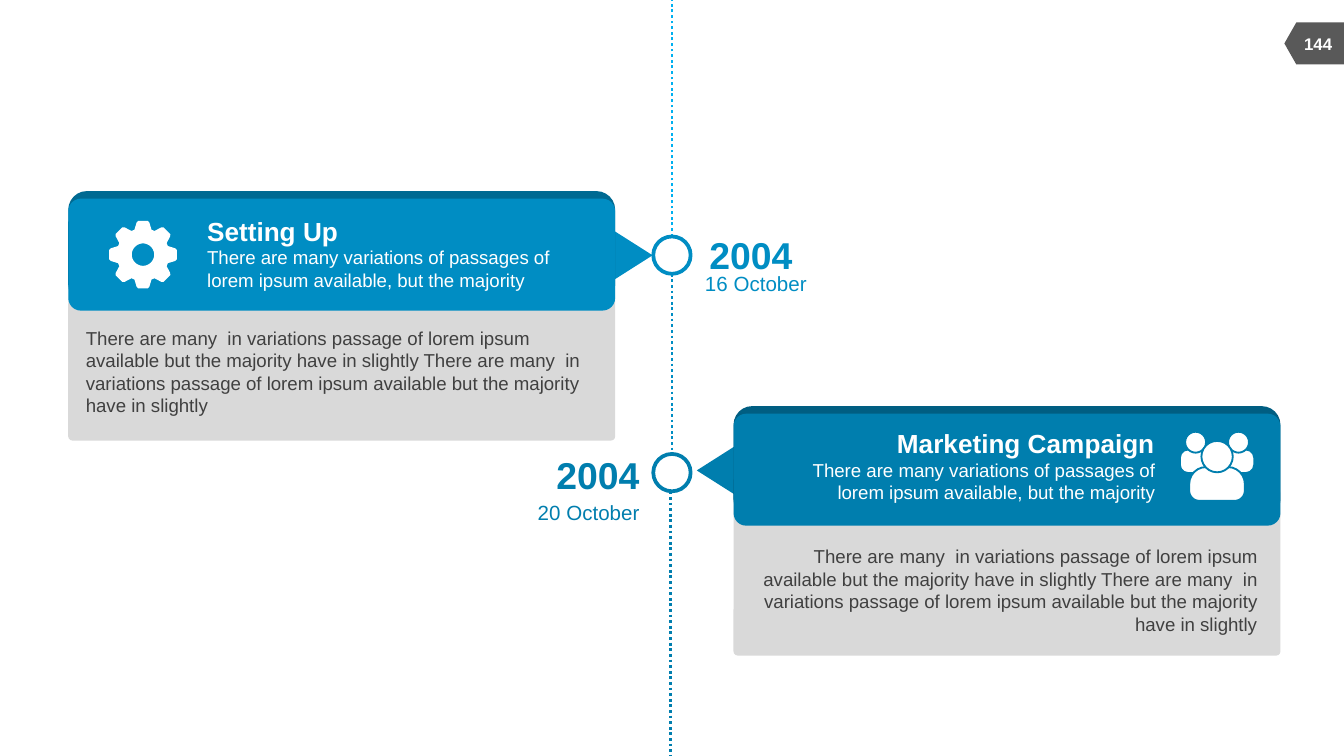
from dataclasses import dataclass
from math import cos, radians, sin

from lxml.etree import SubElement
from pptx import Presentation
from pptx.dml.color import RGBColor
from pptx.enum.dml import MSO_LINE_DASH_STYLE as Dash
from pptx.enum.shapes import MSO_CONNECTOR, MSO_SHAPE as Kind
from pptx.enum.text import MSO_ANCHOR as Anchor, PP_ALIGN as Align
from pptx.oxml.ns import qn
from pptx.util import Pt

WHITE, GREY, DARK, INK = "FFFFFF", "D9D9D9", "595959", "404040"
SKY, BLUE, TEAL = "00B0F0", "008DC3", "007EAE"
CARD_W, AXIS = 293, 360
BRIEF = "There are many variations of passages of lorem ipsum available, but the majority"
DETAIL = " ".join(["There are many  in variations passage of lorem ipsum "
                   "available but the majority have in slightly"] * 2)


@dataclass
class Card:
    title: str
    left: float
    top: float
    fill: str
    edge: str
    align: Align
    arrow_mid: float
    turn: int
    head_left: float
    head_top: float
    text_left: float
    text_top: float


@dataclass
class Stop:
    year: str
    day: str
    top: float
    color: str
    align: Align
    year_left: float
    year_top: float
    day_left: float
    day_top: float


CARDS = [
    Card("Setting Up", 36.6, 102.4, BLUE, "006A92", Align.LEFT,
         335.2, 90, 111, 115.2, 46, 175),
    Card("Marketing Campaign", 393, 217.6, TEAL, "005E82", Align.RIGHT,
         387.7, 270, 420, 229, 402, 292),
]
STOPS = [
    Stop("2004", "16 October", 126.7, BLUE, Align.LEFT, 380, 124, 377.7, 145),
    Stop("2004", "20 October", 243.2, TEAL, Align.RIGHT, 298, 242, 288, 267.8),
]


def rgb(code: str) -> RGBColor:
    return RGBColor.from_string(code)


def paint(shape, fill: str, line: str = "", weight: float = 1) -> None:
    shape.shadow.inherit = False
    shape.fill.solid()
    shape.fill.fore_color.rgb = rgb(fill)
    if line:
        shape.line.color.rgb = rgb(line)
        shape.line.width = Pt(weight)
    else:
        shape.line.fill.background()


def add_form(shapes, kind: Kind, box: tuple, fill: str, line: str = "",
             weight: float = 1, adjust: tuple = (), turn: float = 0):
    form = shapes.add_shape(kind, *map(Pt, box))
    paint(form, fill, line, weight)
    for index, value in enumerate(adjust):
        form.adjustments[index] = value
    form.rotation = turn
    return form


def add_text(shapes, text: str, box: tuple, size: float, color: str,
             align: Align, bold: bool = False, wrap: bool = False) -> None:
    frame = shapes.add_textbox(*map(Pt, box)).text_frame
    frame.margin_left = frame.margin_right = Pt(0)
    frame.margin_top = frame.margin_bottom = Pt(0)
    frame.word_wrap = wrap
    frame.vertical_anchor = Anchor.TOP if wrap else Anchor.MIDDLE
    frame.text = text
    para = frame.paragraphs[0]
    para.alignment = align
    font = para.runs[0].font
    font.name, font.size, font.bold = "Arial", Pt(size), bold
    font.color.rgb = rgb(color)


def add_dots(shapes, x: float, start: float, end: float, color: str) -> None:
    """Draw one dotted stretch of the time axis."""
    line = shapes.add_connector(MSO_CONNECTOR.STRAIGHT, Pt(x), Pt(start), Pt(x), Pt(end))
    line.line.color.rgb = rgb(color)
    line.line.width = Pt(1.5)
    line.line.dash_style = Dash.ROUND_DOT
    SubElement(line._element.spPr, qn("a:effectLst"))


def add_card(shapes, card: Card) -> None:
    left, top = card.left, card.top
    add_form(shapes, Kind.ROUNDED_RECTANGLE, (left, top + 44.4, CARD_W, 89.2),
             GREY, adjust=(0.025,))
    add_form(shapes, Kind.ISOSCELES_TRIANGLE,
             (card.arrow_mid - 18.3, top + 20, 36.6, 28.8), card.fill, turn=card.turn)
    add_form(shapes, Kind.ROUNDED_RECTANGLE, (left, top, CARD_W, 60), card.edge)
    add_form(shapes, Kind.ROUNDED_RECTANGLE, (left, top + 4, CARD_W, 60),
             card.fill, adjust=(0.113,))
    add_text(shapes, card.title, (card.head_left, card.head_top, 198.6, 17),
             14, WHITE, card.align, bold=True)
    add_text(shapes, BRIEF, (card.head_left, card.head_top + 16.6, 198.6, 24.5),
             10, WHITE, card.align, wrap=True)
    add_text(shapes, DETAIL, (card.text_left, card.text_top, 271.4, 48),
             10, INK, card.align, wrap=True)


def add_stop(shapes, stop: Stop) -> None:
    add_form(shapes, Kind.OVAL, (AXIS - 10, stop.top, 20, 20), WHITE, stop.color, 2)
    add_text(shapes, stop.year, (stop.year_left, stop.year_top, 44.6, 24.5),
             20, stop.color, stop.align, bold=True)
    add_text(shapes, stop.day, (stop.day_left, stop.day_top, 54.7, 13.7),
             11, stop.color, stop.align)


def add_gear(shapes, x: float, y: float) -> None:
    def ring(points: list) -> list:
        return [(Pt(x + r * sin(radians(a))), Pt(y - r * cos(radians(a))))
                for a, r in points]

    tooth = [(-19, 14.1), (-11, 17.6), (-8, 18.3), (8, 18.3), (11, 17.6), (19, 14.1)]
    rim = ring([(45 * n + a, r) for n in range(8) for a, r in tooth])
    hole = ring([(-a, 6) for a in range(0, 360, 10)])
    path = shapes.build_freeform(*rim[0])
    path.add_line_segments(rim[1:])
    path.move_to(*hole[0])
    path.add_line_segments(hole[1:])
    paint(path.convert_to_shape(), WHITE)


def add_team(shapes, x: float, y: float, gap: str) -> None:
    """Draw three people, kept apart by outlines in the card colour."""
    for side in (-1, 1):
        mid = x + side * 12.6
        add_form(shapes, Kind.ROUNDED_RECTANGLE, (mid - 7.3, y + 9, 14.6, 12.6),
                 WHITE, gap, adjust=(0.35,))
        add_form(shapes, Kind.OVAL, (x + side * 11.5 - 5.6, y - 0.5, 11.2, 11.2), WHITE, gap)
    add_form(shapes, Kind.ROUND_2_SAME_RECTANGLE, (x - 14.9, y + 18.4, 29.8, 18.1),
             WHITE, gap, adjust=(0.5, 0.3))
    add_form(shapes, Kind.OVAL, (x - 8.4, y + 4.4, 16.8, 16.8), WHITE, gap)


def main() -> None:
    deck = Presentation()
    deck.slide_width, deck.slide_height = Pt(720), Pt(405)
    shapes = deck.slides.add_slide(deck.slide_layouts[6]).shapes

    add_form(shapes, Kind.FLOWCHART_OFFPAGE_CONNECTOR, (692.8, 7.3, 22.5, 32),
             DARK, turn=90)
    add_text(shapes, "144", (691.2, 12.5, 30, 21.6), 9, WHITE, Align.CENTER, bold=True)

    add_dots(shapes, AXIS, 126.7, 0, SKY)
    add_dots(shapes, AXIS, 146.7, 243.2, BLUE)
    add_dots(shapes, 359.3, 263.2, 405, TEAL)
    for card in CARDS:
        add_card(shapes, card)
    for stop in STOPS:
        add_stop(shapes, stop)
    add_gear(shapes, 76.6, 136.4)
    add_team(shapes, 652, 231.8, TEAL)

    deck.save("out.pptx")


if __name__ == "__main__":
    main()
